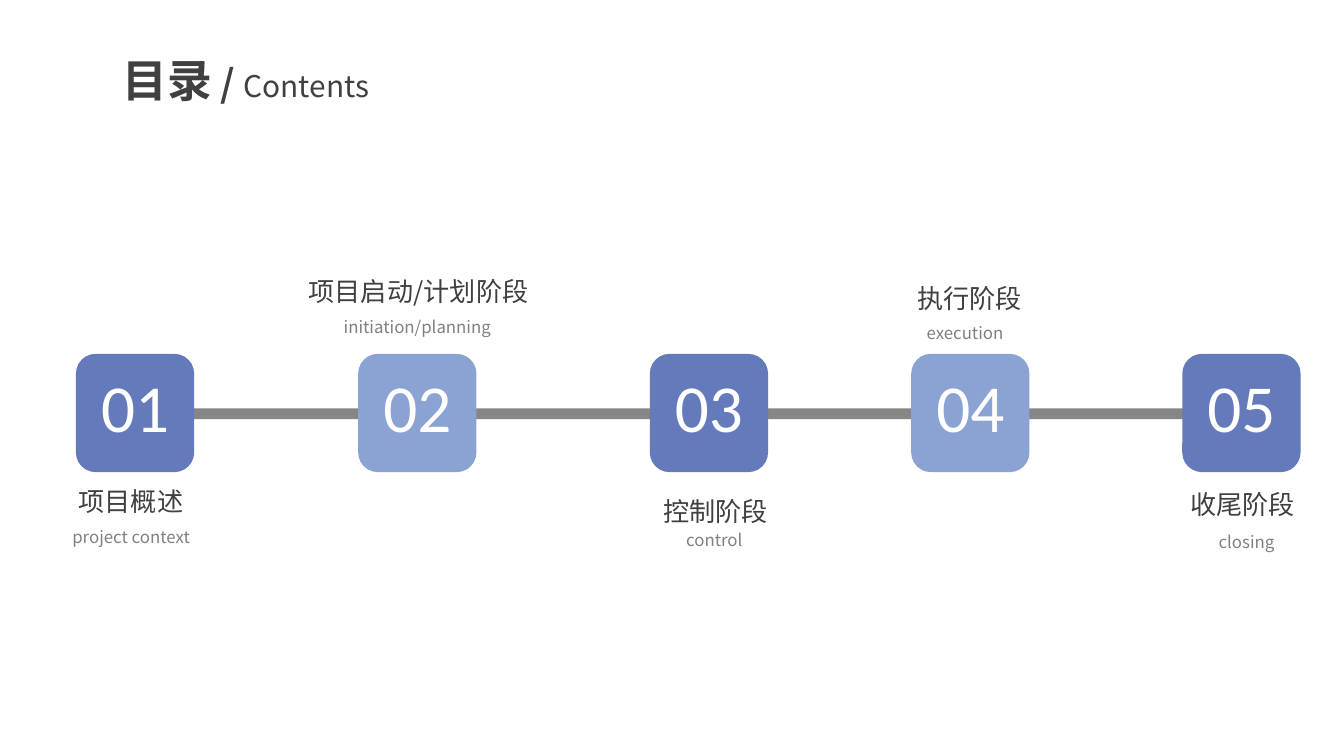
from lxml import etree
from pptx import Presentation
from pptx import util as u
from pptx.dml.color import RGBColor
from pptx.enum import shapes, text
from pptx.oxml.ns import qn

COLS, ROWS = 100, 56.25  # square grid, ten cells to the inch
BLUE, PALE, GREY, DARK, WHITE = "647ABA", "8AA3D2", "808080", "404040", "FFFFFF"
SANS, HEAD = "Noto Sans CJK SC", "Noto Sans CJK JP"
SIDE = 8.8  # side of a numbered tile

# tile left, number, name, name shift and top, note, note shift and top
STAGES = [
    (5.65, "01", "项目概述", -0.3, 35.6, "project context", -0.3, 38.25),
    (26.65, "02", "项目启动/计划阶段", 0.1, 20, "initiation/planning", 0, 22.6),
    (48.35, "03", "控制阶段", 0.5, 36.4, "control", 0.4, 38.45),
    (67.8, "04", "执行阶段", -0.05, 20.55, "execution", -0.4, 23.1),
    (87.97, "05", "收尾阶段", 0.1, 35.85, "closing", 0.38, 38.65),
]


def cell(n):
    return u.Inches(n / 10)


def hue(code):
    return RGBColor.from_string(code)


def style(font, size, face, code, bold=False):
    font.size, font.name, font.bold = u.Pt(size), face, bold
    font.color.rgb = hue(code)
    east = etree.SubElement(font._rPr, qn("a:ea"))
    east.set("typeface", face)
    font._rPr.find(qn("a:latin")).addnext(east)


def block(slide, kind, box, code):
    shape = slide.shapes.add_shape(kind, *map(cell, box))
    shape.shadow.inherit = False
    shape.fill.solid()
    shape.fill.fore_color.rgb = hue(code)
    shape.line.fill.background()
    return shape


def label(slide, box, gap):
    frame = slide.shapes.add_textbox(*map(cell, box)).text_frame
    frame.word_wrap = True
    para = frame.paragraphs[0]
    para.alignment, para.line_spacing = text.PP_ALIGN.CENTER, gap
    return para


def title(slide, box):
    para = label(slide, box, 1.2)
    for words, size, bold in (("目录", 24, True), (" / ", 20, True), ("Contents", 16, False)):
        run = para.add_run()
        run.text = words
        style(run.font, size, HEAD, DARK, bold)


def rail(slide, box):
    bar = block(slide, shapes.MSO_SHAPE.RECTANGLE, box, GREY)
    tint = bar.fill._xPr.find(".//" + qn("a:srgbClr"))
    etree.SubElement(tint, qn("a:alpha")).set("val", "95000")


def tile(slide, box, num, code):
    shape = block(slide, shapes.MSO_SHAPE.ROUNDED_RECTANGLE, box, code)
    frame = shape.text_frame
    frame.margin_left = frame.margin_right = cell(0.7)
    frame.margin_top, frame.margin_bottom = cell(0.4), cell(1.5)
    frame.vertical_anchor = text.MSO_ANCHOR.MIDDLE
    para = frame.paragraphs[0]
    para.text, para.alignment = num, text.PP_ALIGN.CENTER
    style(para.font, 36, "Calibri", WHITE)


def caption(slide, mid, top, wide, high, words, size, code, gap):
    para = label(slide, (mid - wide / 2, top, wide, high), gap)
    para.text = words
    style(para.font, size, SANS, code)


def timeline(slide, box):
    left, top, wide, high = box
    rail(slide, (left + 4, top + 4.05, wide - 9, 0.8))
    for i, (x, num, name, dx, y, note, dn, yn) in enumerate(STAGES):
        tile(slide, (x, top, SIDE, high), num, PALE if i % 2 else BLUE)
        mid = x + SIDE / 2
        caption(slide, mid + dx, y, 22.3 if "/" in name else 9.8, 3.4, name, 14, DARK, 1)
        caption(slide, mid + dn, yn, 25.6 if "/" in note else 14, 3, note, 9, GREY, 1.3)


def main():
    deck = Presentation()
    deck.slide_width, deck.slide_height = cell(COLS), cell(ROWS)
    slide = deck.slides.add_slide(deck.slide_layouts[6])
    timeline(slide, (5.7, 26.33, 91.1, SIDE))
    title(slide, (5.65, 2.6, 25.3, 5.8))
    deck.save("out.pptx")


if __name__ == "__main__":
    main()
